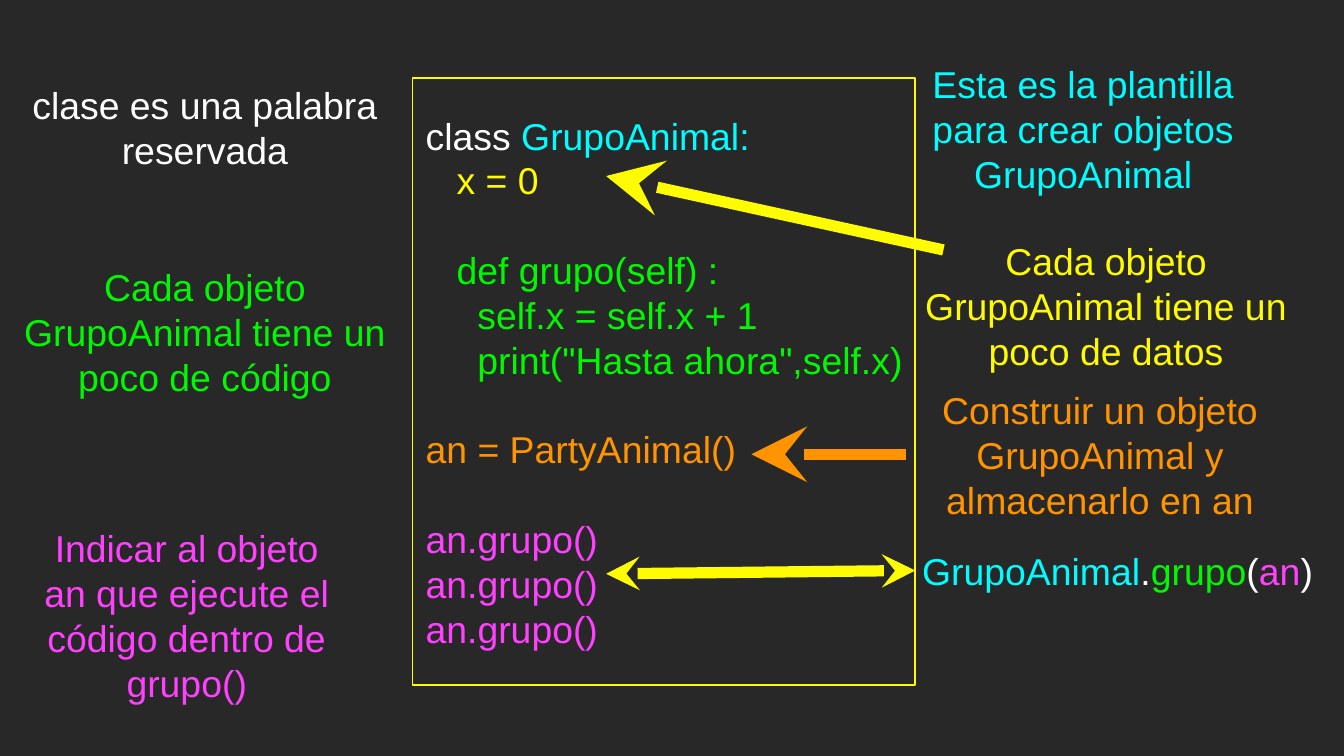
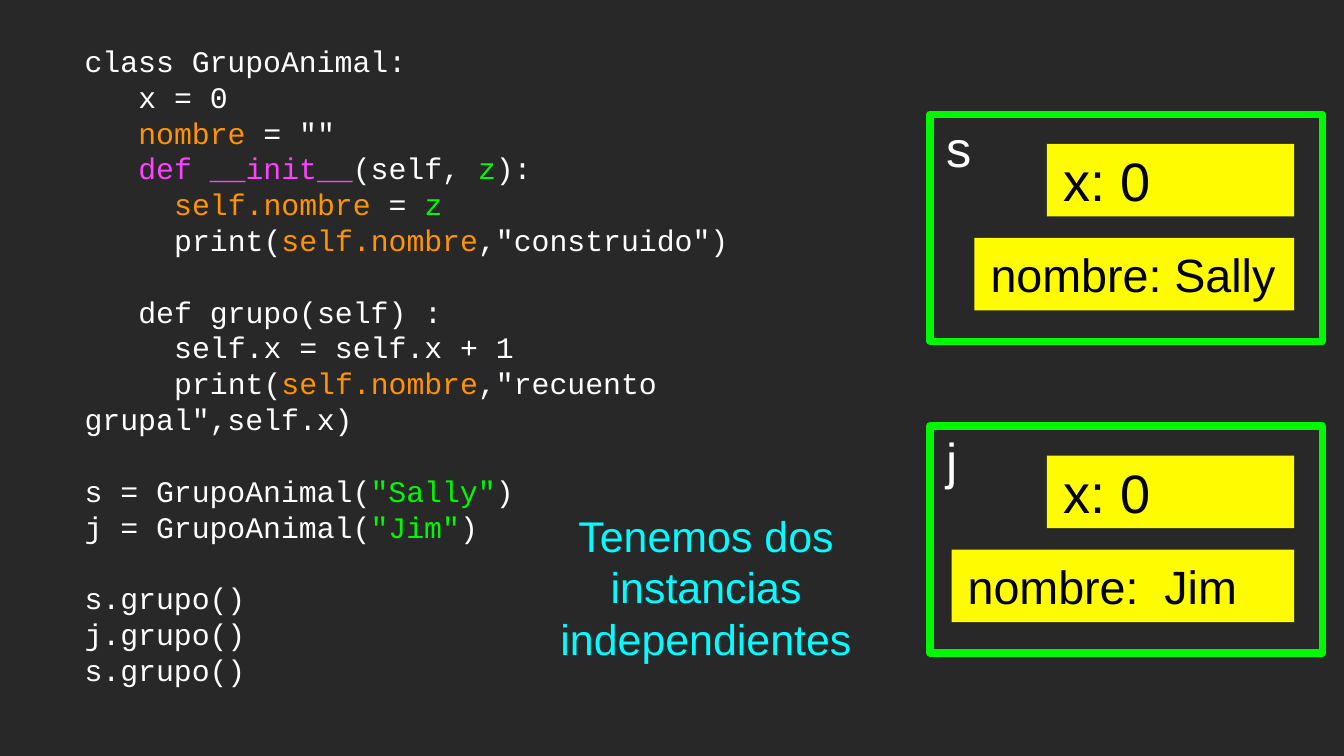
from lxml import etree
from pptx import Presentation
from pptx import util as u
from pptx.dml.color import RGBColor
from pptx.enum import shapes, text
from pptx.oxml.ns import qn

INK = {
    "back": "282828",
    "white": "FFFFFF",
    "black": "000000",
    "cyan": "00FDFF",
    "yellow": "FFFB00",
    "green": "00F900",
    "orange": "FF9300",
    "pink": "FF40FF",
}
SANS, MONO = "Arial", "Courier New"
PAD = 0.02


def tint(name):
    return RGBColor.from_string(INK[name])


def write(shape, lines, size=20, font=SANS, ink="white", align="LEFT",
          anchor="MIDDLE", step=0.0):
    frame = shape.text_frame
    frame.word_wrap = True
    frame.vertical_anchor = getattr(text.MSO_ANCHOR, anchor)
    frame.margin_left = frame.margin_right = u.Inches(PAD)
    frame.margin_top = frame.margin_bottom = u.Inches(PAD)
    pitch = u.Pt(size * 1.2)
    para, gap = None, False
    for line in lines:
        if line is None:
            gap = True
            continue
        depth, *runs = line
        para = frame.add_paragraph() if para else frame.paragraphs[0]
        para.alignment = getattr(text.PP_ALIGN, align)
        para.line_spacing = pitch
        if gap:
            para.space_before = pitch
            gap = False
        if depth:
            props = para._p.get_or_add_pPr()
            props.set("marL", "0")
            props.set("indent", str(u.Inches(depth * step)))
        for item in runs:
            hue, words = (ink, item) if isinstance(item, str) else item
            run = para.add_run()
            run.text = words
            run.font.size = u.Pt(size)
            run.font.name = font
            run.font.color.rgb = tint(hue)


def label(page, box, lines, **form):
    shape = page.shapes.add_textbox(*map(u.Inches, box))
    write(shape, lines, **form)
    return shape


def note(page, box, words, ink, size=20):
    return label(page, box, [(0, words)], ink=ink, size=size, align="CENTER")


def frame(parent, box, fill=None, edge=None, width=1):
    shape = parent.shapes.add_shape(shapes.MSO_SHAPE.RECTANGLE,
                                    *map(u.Inches, box))
    shape.shadow.inherit = False
    if fill:
        shape.fill.solid()
        shape.fill.fore_color.rgb = tint(fill)
    else:
        shape.fill.background()
    if edge:
        shape.line.color.rgb = tint(edge)
        shape.line.width = u.Pt(width)
    else:
        shape.line.fill.background()
    return shape


def arrow(page, start, end, ink, size="lg", both=False, goal=None):
    line = page.shapes.add_connector(shapes.MSO_CONNECTOR.STRAIGHT,
                                     *map(u.Inches, start + end))
    line.line.color.rgb = tint(ink)
    line.line.width = u.Pt(6)
    stroke = line.line._get_or_add_ln()
    for tag in ("a:headEnd", "a:tailEnd") if both else ("a:headEnd",):
        etree.SubElement(stroke, qn(tag), type="stealth", w=size, len=size)
    etree.SubElement(line._element.spPr, qn("a:effectLst"))
    if goal is not None:
        line.end_connect(goal, 1)


def blank(deck):
    page = deck.slides.add_slide(deck.slide_layouts[6])
    page.background.fill.solid()
    page.background.fill.fore_color.rgb = tint("back")
    return page


def code(page, box):
    lines = [
        (1, "class ", ("cyan", "GrupoAnimal:")),
        (4, ("yellow", "x = 0")),
        None,
        (4, ("green", "def grupo(self) :")),
        (6, ("green", "self.x = self.x + 1")),
        (6, ("green", 'print("Hasta ahora",self.x)')),
        None,
        (1, ("orange", "an = PartyAnimal()")),
        None,
    ] + [(1, ("pink", "an.grupo()"))] * 3
    write(frame(page, box, edge="yellow"), lines, step=0.077)


def left(page, box):
    x, y, w, h = box
    note(page, (x, y, w, 0.73), "clase es una palabra reservada", "white")
    note(page, (x, y + 1.35, w, 1.07),
         "Cada objeto GrupoAnimal tiene un poco de código", "green")
    note(page, (x + 0.19, y + h - 1.07, 2.24, 1.07),
         "Indicar al objeto an que ejecute el código dentro de grupo()", "pink")


def right(page, box):
    x, y, w, h = box
    note(page, (x, y, 2.64, 1.13),
         "Esta es la plantilla para crear objetos GrupoAnimal", "cyan")
    note(page, (x + 0.1, y + 1.35, 2.78, 1.07),
         "Cada objeto GrupoAnimal tiene un poco de datos", "yellow")
    build = note(page, (x, y + 2.5, 2.89, 0.98),
                 "Construir un objeto GrupoAnimal y almacenarlo en an", "orange")
    call = label(page, (x + 0.07, y + h - 0.41, w - 0.07, 0.41), [
        (0, ("cyan", "GrupoAnimal"), ".", ("green", "grupo"), "(",
         ("pink", "an"), ")")], align="CENTER")
    arrow(page, (x - 2.23, y + 0.92), (x + 0.28, y + 1.47), "yellow")
    arrow(page, (x - 2.23, y + 3.88), (x + 0.07, y + 3.85), "yellow",
          size="med", both=True, goal=call)
    arrow(page, (x - 1.15, y + 2.99), (x, y + 2.99), "orange", goal=build)


def script(page, box):
    name = ("orange", "self.nombre")
    label(page, box, [
        (0, "class GrupoAnimal:"),
        (3, "x = 0"),
        (3, ("orange", "nombre"), ' = ""'),
        (3, ("pink", "def __init__"), "(self, ", ("green", "z"), "):"),
        (5, name, " = ", ("green", "z")),
        (5, "print(", name, ',"construido")'),
        None,
        (3, "def grupo(self) :"),
        (5, "self.x = self.x + 1"),
        (5, "print(", name, ',"recuento grupal",self.x)'),
        None,
        (0, "s = GrupoAnimal(", ("green", '"Sally"'), ")"),
        (0, "j = GrupoAnimal(", ("green", '"Jim"'), ")"),
        None,
        (0, "s.grupo()"),
        (0, "j.grupo()"),
        (0, "s.grupo()"),
    ], size=16, font=MONO, step=0.1333)


def item(page, box, key, name, wide):
    x, y, w, h = box
    group = page.shapes.add_group_shape()
    outer = frame(group, box, edge="green", width=4)
    write(outer, [(1, key)], size=27, anchor="TOP", step=0.1)
    edge = x + w - 0.21
    for words, size, width, drop in (("x: 0", 29, 1.84, 0.22),
                                     (name, 25, wide, 0.92)):
        cell = frame(group, (edge - width, y + drop, width, 0.54),
                     fill="yellow")
        write(cell, [(1, words)], size=size, ink="black", step=0.1)


def main():
    deck = Presentation()
    deck.slide_width, deck.slide_height = u.Inches(10), u.Inches(5.625)

    page = blank(deck)
    code(page, (3.07, 0.58, 3.74, 4.52))
    left(page, (0.08, 0.58, 2.89, 4.53))
    right(page, (6.74, 0.39, 3.08, 4.06))

    page = blank(deck)
    script(page, (0.61, 0.19, 6.16, 5.05))
    pair = (("s", "nombre: Sally", 2.38), ("j", "nombre:  Jim", 2.55))
    for row, (key, name, wide) in enumerate(pair):
        item(page, (6.92, 0.85 + row * 2.32, 2.92, 1.69), key, name, wide)
    note(page, (3.93, 3.8, 2.65, 1.13),
         "Tenemos dos instancias independientes", "cyan", size=23)

    deck.save("out.pptx")


if __name__ == "__main__":
    main()
